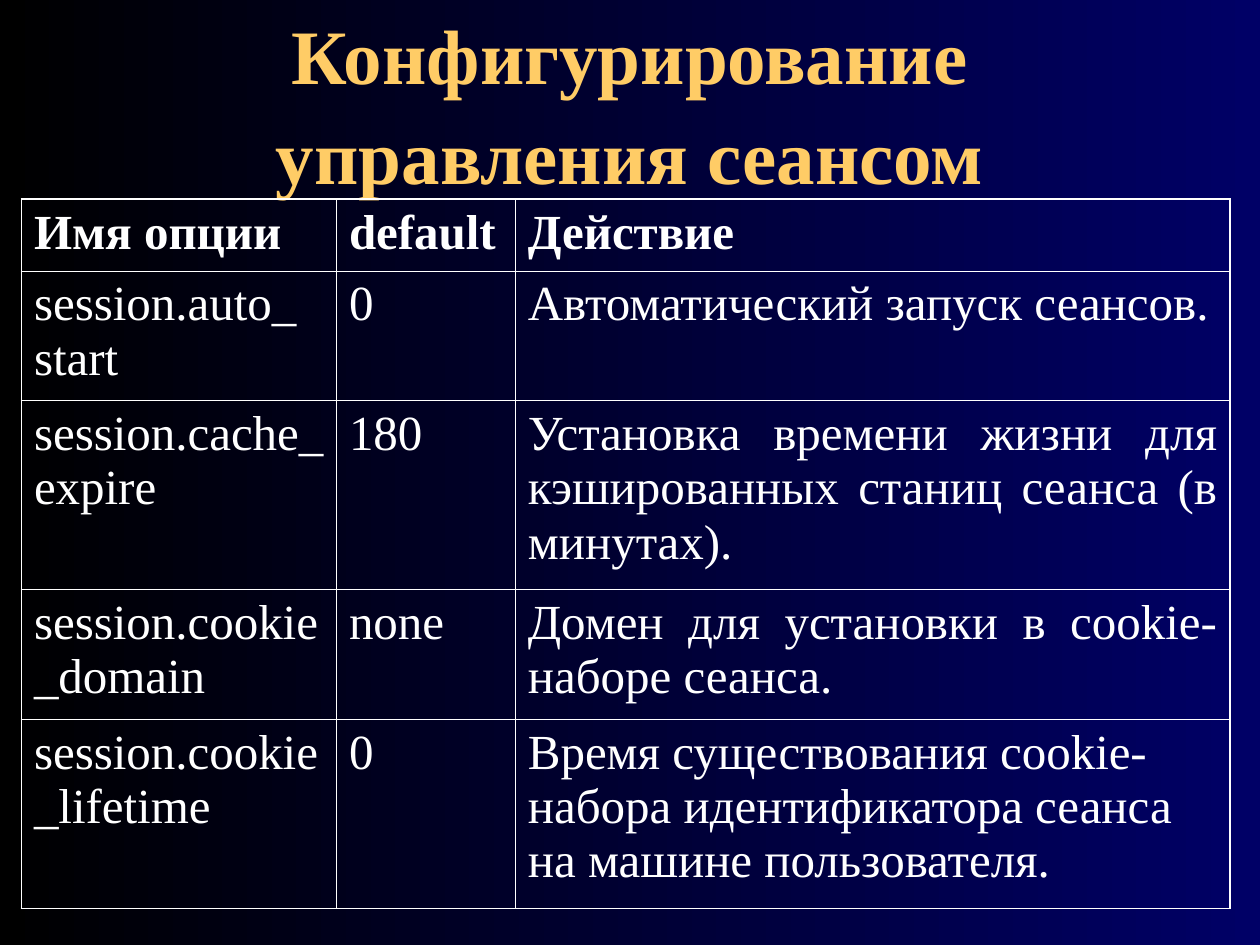
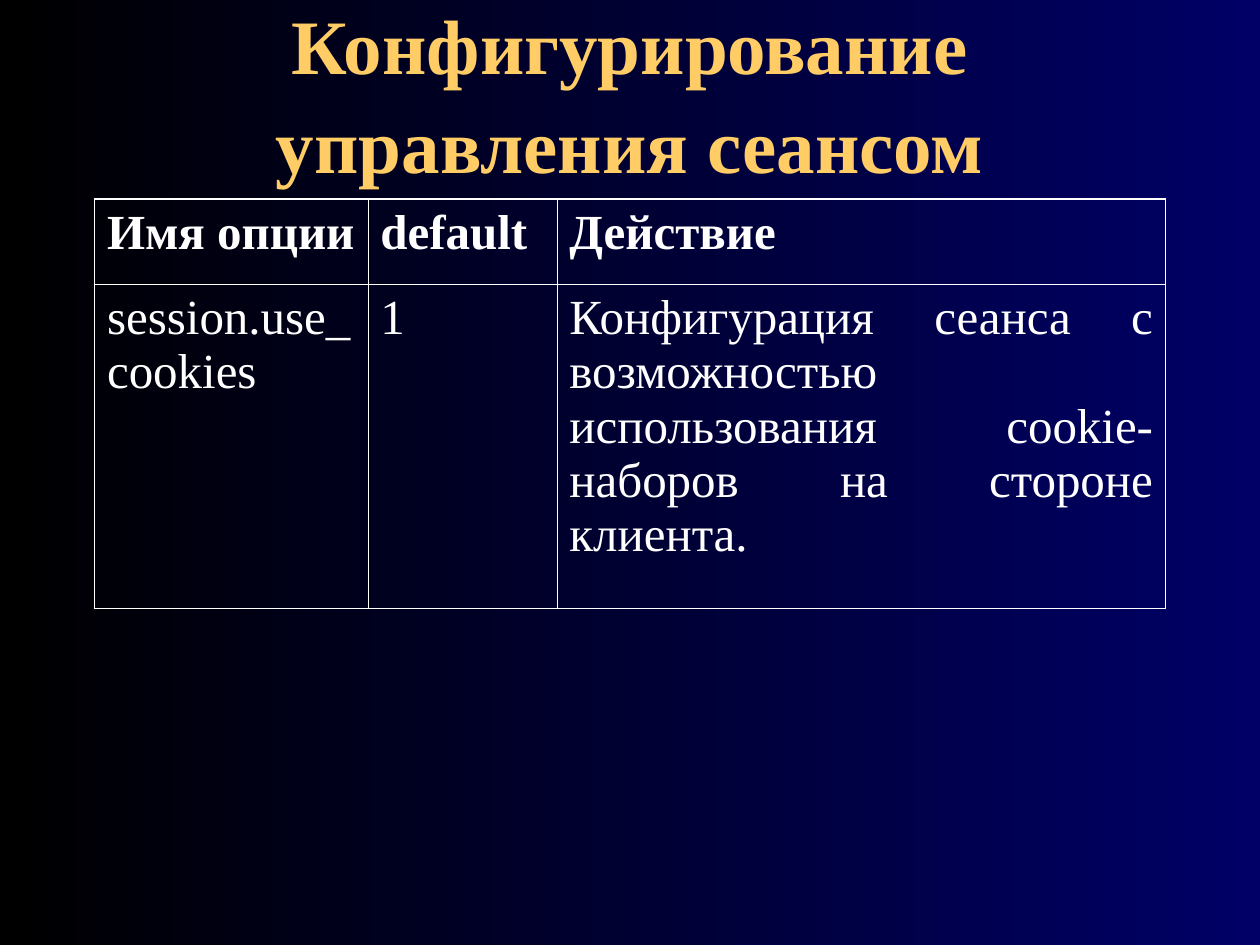
from lxml import etree
from pptx import Presentation, util as u
from pptx.dml.color import RGBColor
from pptx.enum import text
from pptx.oxml import ns

COLORS = {"title": "FFCC66", "body": "FFFFFF", "right": "000066", "left": "000000"}
FONT = "Times New Roman"
TITLE = "Конфигурирование управления сеансом"
HEADER = ("Имя опции", "default", "Действие")
OUTER_LINE, INNER_LINE = 1.08, 0.45
LEFT, JUSTIFY = text.PP_ALIGN.LEFT, text.PP_ALIGN.JUSTIFY

# Each option row ends with the alignment of its description.
SLIDES = [
    {
        "title_height": 1.25,
        "table_left": 0.17,
        "columns": (2.5, 1.42, 5.67),
        "rows": (0.57, 1.03, 1.5, 1.03, 1.5),
        "options": [
            ("session.auto_ start", "0", "Автоматический запуск сеансов.", LEFT),
            ("session.cache_expire", "180",
             "Установка времени жизни для кэшированных станиц сеанса (в минутах).", JUSTIFY),
            ("session.cookie_domain", "none",
             "Домен для установки в cookie-наборе сеанса.", JUSTIFY),
            ("session.cookie_lifetime", "0",
             "Время существования cookie-набора идентификатора сеанса "
             "на машине пользователя.", LEFT),
        ],
    },
    {
        "title_height": 1.08,
        "table_left": 0.75,
        "columns": (2.17, 1.5, 4.83),
        "rows": (0.68, 2.57),
        "options": [
            ("session.use_cookies", "1",
             "Конфигурация сеанса с возможностью использования "
             "cookie-наборов на стороне клиента.", JUSTIFY),
        ],
    },
]


def write_text(frame, content, *, size, color, bold=False, align=LEFT, spacing=1.0):
    frame.word_wrap = True
    paragraph = frame.paragraphs[0]
    paragraph.alignment = align
    paragraph.space_before = u.Pt(0)
    paragraph.line_spacing = spacing
    run = paragraph.add_run()
    run.text = content
    run.font.name = FONT
    run.font.size = u.Pt(size)
    run.font.bold = bold
    run.font.color.rgb = RGBColor.from_string(COLORS[color])


def draw_borders(cell, widths):
    """Line the cell; widths maps the sides L, R, T, B to points."""
    properties = cell._tc.get_or_add_tcPr()
    for side, width in widths.items():
        line = etree.SubElement(properties, ns.qn(f"a:ln{side}"), w=str(u.Pt(width)))
        fill = etree.SubElement(line, ns.qn("a:solidFill"))
        etree.SubElement(fill, ns.qn("a:srgbClr"), val=COLORS["body"])


presentation = Presentation()
presentation.slide_width = u.Inches(10)
presentation.slide_height = u.Inches(7.5)

background = presentation.slide_master.background.fill
background.gradient()
background.gradient_angle = 180
for stop, side in zip(background.gradient_stops, ("right", "left")):
    stop.color.rgb = RGBColor.from_string(COLORS[side])

for content in SLIDES:
    slide = presentation.slides.add_slide(presentation.slide_layouts[5])

    title = slide.shapes.title
    title.left, title.top = u.Inches(0.75), u.Inches(0.17)
    title.width, title.height = u.Inches(8.5), u.Inches(content["title_height"])
    title.text_frame.auto_size = text.MSO_AUTO_SIZE.NONE
    title.text_frame.vertical_anchor = text.MSO_ANCHOR.MIDDLE
    write_text(title.text_frame, TITLE, size=44, color="title", bold=True,
               align=text.PP_ALIGN.CENTER, spacing=1.08)

    columns, rows = content["columns"], content["rows"]
    table = slide.shapes.add_table(
        len(rows), len(columns), u.Inches(content["table_left"]), u.Inches(1.58),
        u.Inches(sum(columns)), u.Inches(sum(rows))).table
    table.first_row = table.horz_banding = False
    for column, width in zip(table.columns, columns):
        column.width = u.Inches(width)
    for row, height in zip(table.rows, rows):
        row.height = u.Inches(height)

    last_row, last_column = len(rows) - 1, len(columns) - 1
    for row, (*values, description_align) in enumerate([(*HEADER, LEFT), *content["options"]]):
        for column, value in enumerate(values):
            cell = table.cell(row, column)
            write_text(cell.text_frame, value, size=28, color="body", bold=row == 0,
                       align=description_align if column == last_column else LEFT)
            on_edge = {"L": column == 0, "R": column == last_column,
                       "T": row == 0, "B": row == last_row}
            draw_borders(cell, {side: OUTER_LINE if outer else INNER_LINE
                                for side, outer in on_edge.items()})
            cell.fill.background()

presentation.save("out.pptx")
